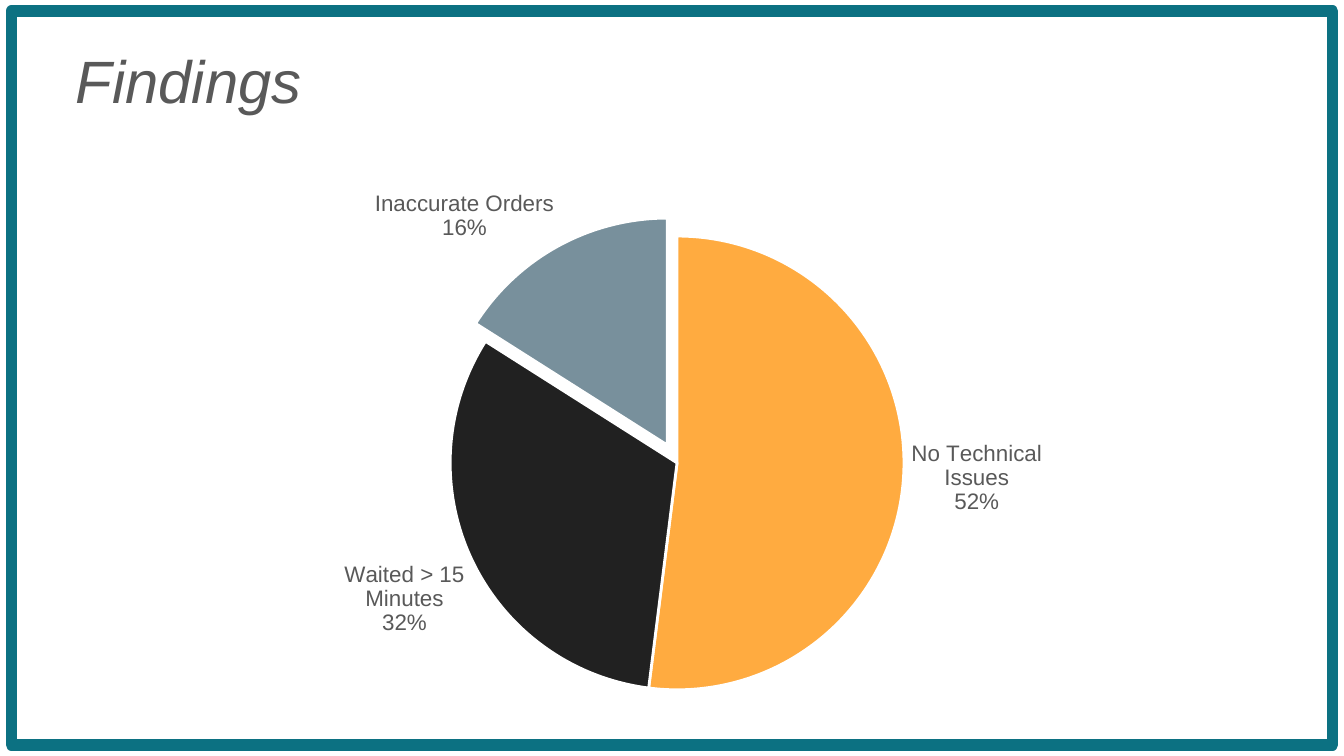
import lxml.etree
import pptx
import pptx.chart.data
import pptx.dml.color
import pptx.enum.chart
import pptx.enum.shapes
import pptx.oxml
import pptx.oxml.ns
import pptx.util

TEAL = pptx.dml.color.RGBColor(0x0C, 0x71, 0x82)
GREY = pptx.dml.color.RGBColor(0x59, 0x59, 0x59)
WHITE = pptx.dml.color.RGBColor(0xFF, 0xFF, 0xFF)
ORANGE = pptx.dml.color.RGBColor(0xFF, 0xAB, 0x40)
BLACK = pptx.dml.color.RGBColor(0x21, 0x21, 0x21)
SLATE = pptx.dml.color.RGBColor(0x78, 0x90, 0x9C)
FONT = "Arial"
FINDINGS = {
    "No Technical Issues": (52, ORANGE),
    "Waited > 15 Minutes": (32, BLACK),
    "Inaccurate Orders": (16, SLATE),
}


class FindingsSlide:
    """Draws styled elements on one slide, placed by shares of its size."""

    def __init__(self, presentation):
        self.width = presentation.slide_width
        self.height = presentation.slide_height
        self.slide = presentation.slides.add_slide(presentation.slide_layouts[6])
        self.slide.background.fill.solid()
        self.slide.background.fill.fore_color.rgb = WHITE

    def box(self, left, top, width, height):
        return (
            int(left * self.width),
            int(top * self.height),
            int(width * self.width),
            int(height * self.height),
        )

    def style(self, font, size):
        font.name = FONT
        font.size = pptx.util.Pt(size)
        font.color.rgb = GREY

    def frame(self, *place):
        shape = self.slide.shapes.add_shape(
            pptx.enum.shapes.MSO_SHAPE.RECTANGLE, *self.box(*place)
        )
        shape.shadow.inherit = False
        shape.fill.background()
        shape.line.color.rgb = TEAL
        shape.line.width = pptx.util.Pt(6)
        outline = shape.line._get_or_add_ln()
        lxml.etree.SubElement(outline, pptx.oxml.ns.qn("a:round"))

    def title(self, text, *place):
        shape = self.slide.shapes.add_textbox(*self.box(*place))
        text_frame = shape.text_frame
        text_frame.word_wrap = True
        for side in ("left", "top", "right", "bottom"):
            setattr(text_frame, f"margin_{side}", pptx.util.Inches(0.1))
        paragraph = text_frame.paragraphs[0]
        paragraph._p.get_or_add_pPr().set("marL", str(pptx.util.Inches(0.12)))
        run = paragraph.add_run()
        run.text = text
        self.style(run.font, 32)
        run.font.italic = True

    def pie(self, findings, exploded, *place):
        data = pptx.chart.data.CategoryChartData()
        data.categories = list(findings)
        values = [value for value, color in findings.values()]
        data.add_series("Series 1", values + [None])
        chart = self.slide.shapes.add_chart(
            pptx.enum.chart.XL_CHART_TYPE.PIE, *self.box(*place), data
        ).chart
        chart.has_legend = False
        chart.has_title = False
        self.style(chart.font, 12)
        plot = chart.plots[0]
        plot.vary_by_categories = True
        for index, (name, (value, color)) in enumerate(findings.items()):
            point = plot.series[0].points[index]
            point.format.fill.solid()
            point.format.fill.fore_color.rgb = color
            point.format.line.color.rgb = WHITE
            point.format.line.width = pptx.util.Pt(1.5)
            if name == exploded:
                properties = plot.series[0]._element.xpath("c:dPt/c:spPr")[index]
                explosion = pptx.oxml.parse_xml(
                    f'<c:explosion {pptx.oxml.ns.nsdecls("c")} val="9"/>'
                )
                properties.addprevious(explosion)
        self.pie_labels(plot.series[0])
        self.plot_layout(chart, x=0.25, y=0.17, w=0.51, h=0.76)

    def pie_labels(self, series):
        labels = series.data_labels
        self.style(labels.font, 12)
        labels.show_value = False
        labels.show_category_name = True
        labels.show_percentage = True
        labels.number_format = "0%"
        labels.number_format_is_linked = False
        labels.position = pptx.enum.chart.XL_LABEL_POSITION.OUTSIDE_END
        separator = pptx.oxml.parse_xml(
            f'<c:separator {pptx.oxml.ns.nsdecls("c")}>\n</c:separator>'
        )
        labels._element.xpath("c:showBubbleSize")[0].addnext(separator)

    def plot_layout(self, chart, **shares):
        area = chart._chartSpace.xpath("c:chart/c:plotArea")[0]
        for layout in area.xpath("c:layout"):
            area.remove(layout)
        sizes = "".join(f'<c:{key} val="{share}"/>' for key, share in shares.items())
        layout = pptx.oxml.parse_xml(
            f'<c:layout {pptx.oxml.ns.nsdecls("c")}><c:manualLayout>'
            '<c:layoutTarget val="inner"/><c:xMode val="edge"/><c:yMode val="edge"/>'
            f"{sizes}</c:manualLayout></c:layout>"
        )
        area.insert(0, layout)


def main():
    presentation = pptx.Presentation()
    presentation.slide_width = pptx.util.Inches(10)
    presentation.slide_height = pptx.util.Emu(5143500)
    findings_slide = FindingsSlide(presentation)
    findings_slide.frame(0.0085, 0.0145, 0.983, 0.971)
    findings_slide.title("Findings", 0.0345, 0.04, 0.932, 0.12)
    findings_slide.pie(FINDINGS, "Inaccurate Orders", 0.167, 0.178, 0.667, 0.79)
    presentation.save("out.pptx")


if __name__ == "__main__":
    main()
